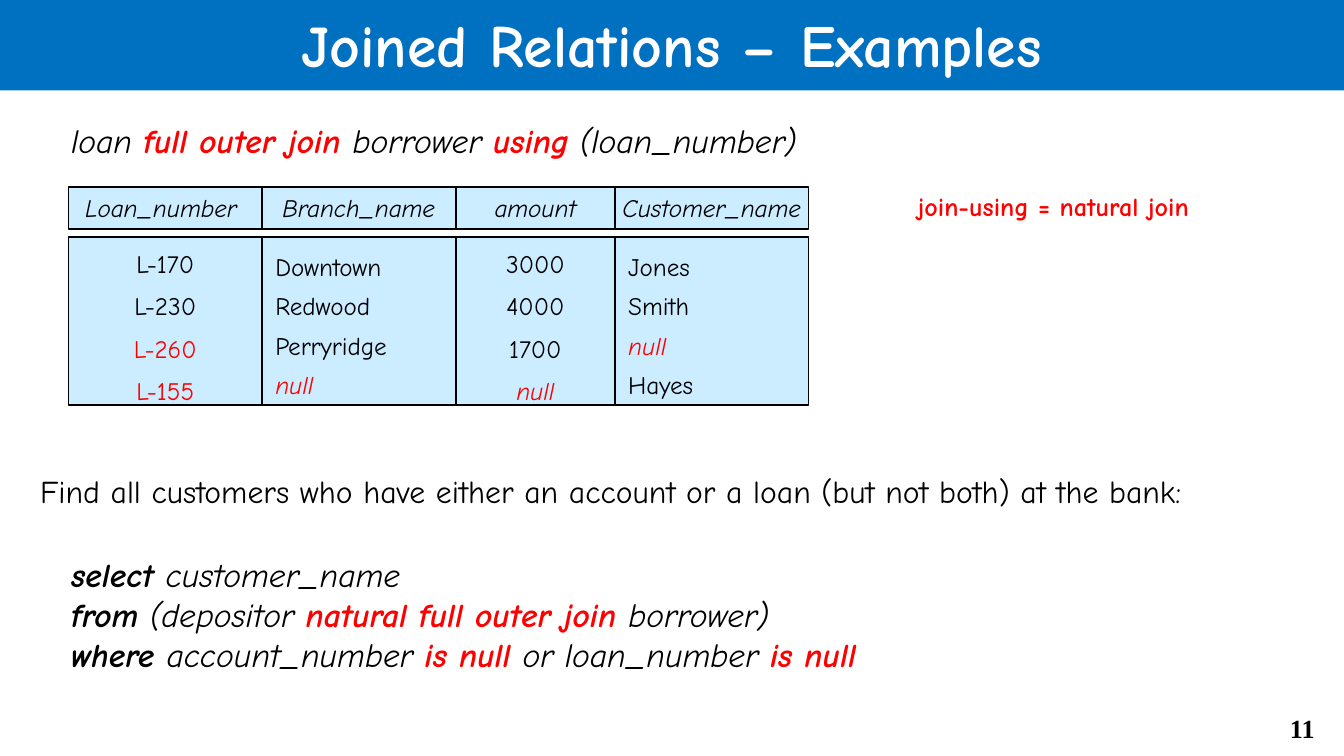
from pptx import Presentation
from pptx.util import Pt
from pptx.dml.color import RGBColor
from pptx.enum.shapes import MSO_SHAPE as SHAPE
from pptx.enum.text import MSO_ANCHOR as ANCHOR, PP_ALIGN as ALIGN

FONT = "Comic Neue"
BLACK, RED, WHITE, BLUE, PALE = "000000", "FF0000", "FFFFFF", "0070C0", "CCECFF"
LEFT, CENTER, RIGHT = ALIGN.LEFT, ALIGN.CENTER, ALIGN.RIGHT

KEYWORD = {"bold": True}
HOT = {"bold": True, "color": RED}
RED_ID = {"color": RED}
NULL = ("null", {"color": RED, "italic": True})

TITLE = "Joined Relations – Examples"
JOIN = [["loan ", ("full outer join ", HOT), "borrower ", ("using", HOT), " (loan_number)"]]
NOTE = "join-using = natural join"
QUESTION = ("Find all customers who have either an account or a loan "
            "(but not both) at the bank:")
QUERY = [
    [("select ", KEYWORD), "customer_name"],
    [("from", KEYWORD), " (depositor ", ("natural full outer join ", HOT), "borrower)"],
    [("where ", KEYWORD), "account_number ", ("is null ", HOT),
     "or loan_number ", ("is null", HOT)],
]
COLUMNS = [
    ("Loan_number ", 103.7, CENTER, ["L-170", "L-230", ("L-260", RED_ID), ("L-155", RED_ID)]),
    ("Branch_name", 103.7, LEFT, ["Downtown", "Redwood", "Perryridge", NULL]),
    ("amount", 85.4, CENTER, ["3000", "4000", "1700", NULL]),
    ("Customer_name", 103.7, LEFT, ["Jones", "Smith", NULL, "Hayes"]),
]
LINE_SPACING = {CENTER: 1.4, LEFT: 1.3}
TABLE_LEFT, HEAD_TOP, HEAD_H, BODY_TOP, BODY_H = 36.7, 100, 22.5, 126.9, 90


def rgb(hex_color):
    return RGBColor.from_string(hex_color)


def write(sp, text, size=18, color=BLACK, bold=False, italic=False, font=FONT,
          align=LEFT, spacing=None, anchor=ANCHOR.TOP, wrap=True):
    tf = sp.text_frame
    tf.word_wrap = wrap
    tf.vertical_anchor = anchor
    lines = [[text]] if isinstance(text, str) else text
    for i, line in enumerate(lines):
        p = tf.add_paragraph() if i else tf.paragraphs[0]
        p.alignment = align
        if spacing:
            p.line_spacing = spacing
        for part in line:
            words, extra = (part, {}) if isinstance(part, str) else part
            r = p.add_run()
            r.text = words
            r.font.name = font
            r.font.size = Pt(size)
            r.font.bold = extra.get("bold", bold)
            r.font.italic = extra.get("italic", italic)
            r.font.color.rgb = rgb(extra.get("color", color))


def text_box(x, y, w, h, text, **fmt):
    write(s.shapes.add_textbox(Pt(x), Pt(y), Pt(w), Pt(h)), text, **fmt)


def box(x, y, w, h, text, fill=PALE, line=BLACK, **fmt):
    sp = s.shapes.add_shape(SHAPE.RECTANGLE, Pt(x), Pt(y), Pt(w), Pt(h))
    sp.shadow.inherit = False
    sp.fill.solid()
    sp.fill.fore_color.rgb = rgb(fill)
    if line:
        sp.line.color.rgb = rgb(line)
        sp.line.width = Pt(1)
    else:
        sp.line.fill.background()
    write(sp, text, anchor=ANCHOR.MIDDLE, **fmt)


prs = Presentation()
prs.slide_width, prs.slide_height = Pt(720), Pt(405)
s = prs.slides.add_slide(prs.slide_layouts[6])

text_box(666, 378, 45.4, 24.5, "11", size=14, bold=True, font="Times New Roman", align=RIGHT)
box(0, -1.5, 720, 50, TITLE, fill=BLUE, line=None, size=32, color=WHITE, bold=True, align=CENTER)

x = TABLE_LEFT
for name, width, align, values in COLUMNS:
    box(x, HEAD_TOP, width, HEAD_H, name, size=13.5, italic=True, align=CENTER, wrap=False)
    box(x, BODY_TOP, width, BODY_H, [[v] for v in values], size=13.5,
        align=align, spacing=LINE_SPACING[align], wrap=False)
    x += width

text_box(31, 60.5, 448, 22.5, JOIN, italic=True)
text_box(14.4, 249, 686, 44.5, QUESTION, size=17)
text_box(31, 293, 461.5, 72.5, QUERY, italic=True, wrap=False)
text_box(484.5, 98.6, 215.5, 24.5, NOTE, size=14, color=RED, bold=True)

prs.save("out.pptx")
